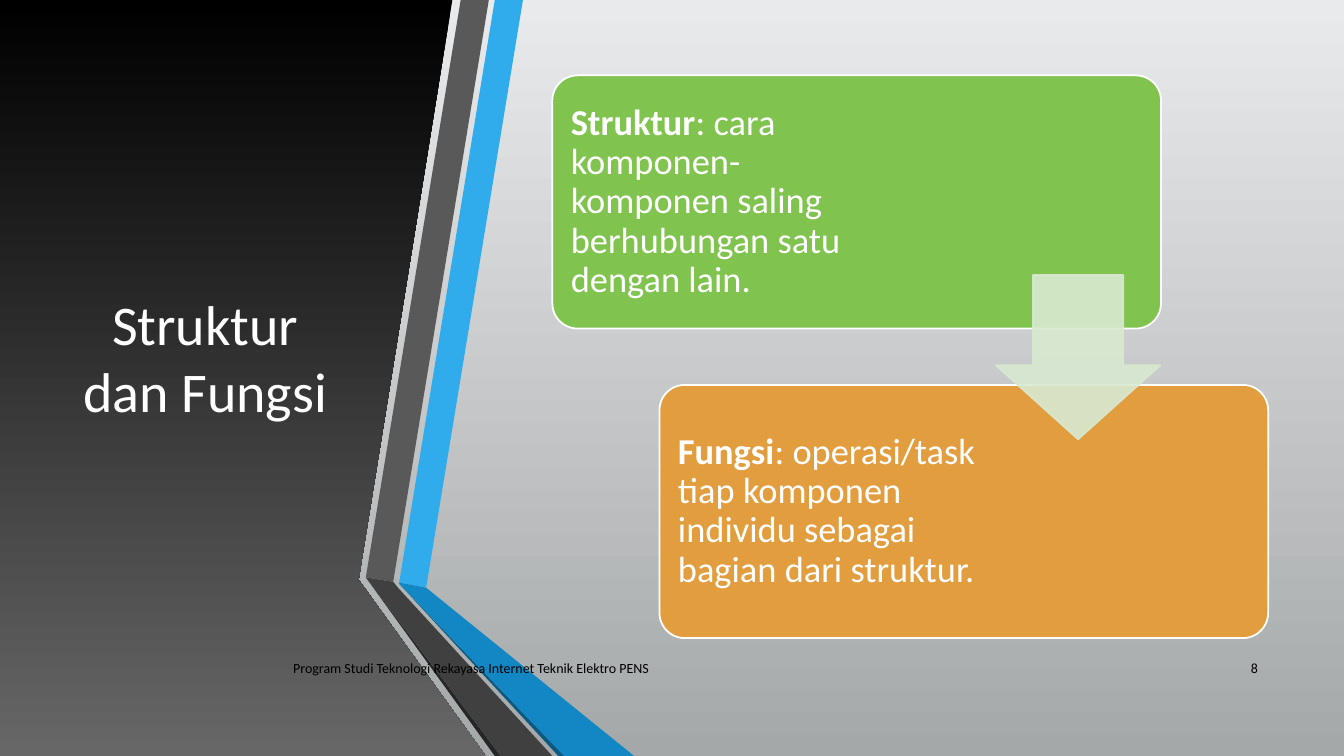
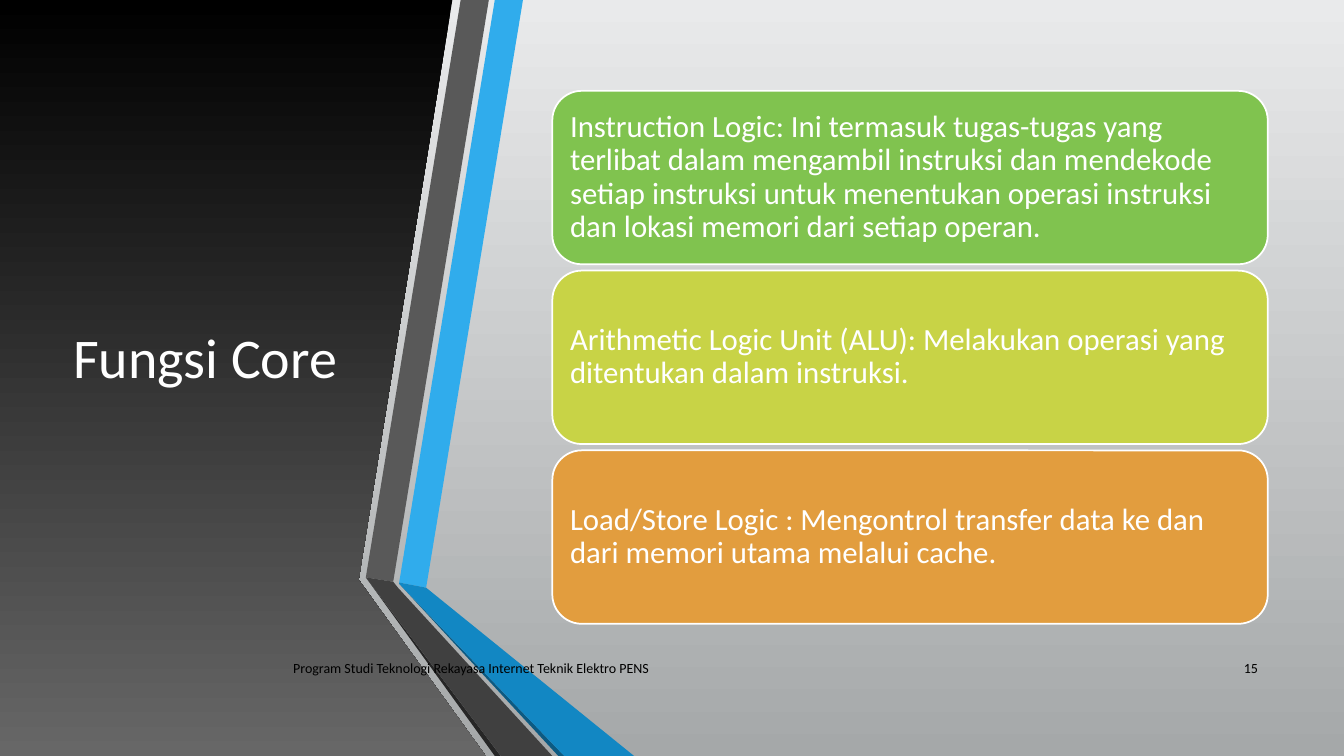
import pptx
import pptx.dml.color
import pptx.enum.shapes
import pptx.enum.text
import pptx.oxml
import pptx.oxml.ns
import pptx.util

Cm = pptx.util.Cm
Pt = pptx.util.Pt
SHAPE = pptx.enum.shapes.MSO_SHAPE
ALIGN = pptx.enum.text.PP_ALIGN
MIDDLE = pptx.enum.text.MSO_ANCHOR.MIDDLE

WIDTH, HEIGHT = 33.87, 19.05
FONT = "Calibri"
FOOTER = "Program Studi Teknologi Rekayasa Internet Teknik Elektro PENS"
COLORS = {
    "white": "FFFFFF",
    "black": "000000",
    "backdrop_top": "E9EAEB",
    "backdrop_bottom": "A5A8A9",
    "panel_bottom": "676767",
    "blue": "30ACEC",
    "deep_blue": "1287C3",
    "navy": "0C5A82",
    "gray": "595959",
    "charcoal": "404040",
    "dark": "262626",
    "green": "80C34F",
    "lime": "C8D346",
    "orange": "E29D3E",
    "pale_green": "D8E9D0",
}
PANEL = [(0, 0), (11.4, 0), (9.04, 14.61), (12.24, HEIGHT), (0, HEIGHT)]
RIBBONS = [
    ("blue", [(10.06, 14.68), (10.74, 14.81), (13.18, 0), (12.47, 0)]),
    ("gray", [(12.32, 0), (11.61, 0), (9.22, 14.55), (9.91, 14.66)]),
    ("dark", [(9.22, 14.55), (12.47, HEIGHT), (12.62, HEIGHT)]),
    ("navy", [(10.06, 14.71), (14.07, HEIGHT), (14.22, HEIGHT)]),
    ("deep_blue", [(10.06, 14.68), (10.06, 14.71), (14.22, HEIGHT),
                   (15.98, HEIGHT), (10.74, 14.81)]),
    ("charcoal", [(13.92, HEIGHT), (10.03, 14.81), (9.91, 14.66),
                  (9.22, 14.55), (12.62, HEIGHT)]),
]


def rgb(name):
    return pptx.dml.color.RGBColor.from_string(COLORS[name])


def fill_gradient(fill, top, bottom):
    fill.gradient()
    fill.gradient_angle = 270
    for stop, name in zip(fill.gradient_stops, (top, bottom)):
        stop.color.rgb = rgb(name)


def fill_solid(fill, name):
    fill.solid()
    fill.fore_color.rgb = rgb(name)


def format_para(para, size, color, align=ALIGN.LEFT):
    para.alignment = align
    para.font.name = FONT
    para.font.size = Pt(size)
    para.font.color.rgb = rgb(color)


def add_outline(page, points):
    corners = [(Cm(x), Cm(y)) for x, y in points]
    builder = page.shapes.build_freeform(*corners[0], scale=1.0)
    builder.add_line_segments(corners[1:], close=True)
    shape = builder.convert_to_shape()
    shape.shadow.inherit = False
    shape.line.fill.background()
    return shape


def add_preset(page, kind, place, color, line_color, adjustments):
    shape = page.shapes.add_shape(kind, *map(Cm, place))
    shape.shadow.inherit = False
    for index, value in enumerate(adjustments):
        shape.adjustments[index] = value
    fill_solid(shape.fill, color)
    fill_solid(shape.line.fill, line_color)
    shape.line.width = Pt(1.25)
    return shape


def add_card(page, place, color, spans, size, rounding, margin, right_margin):
    card = add_preset(page, SHAPE.ROUNDED_RECTANGLE, place, color, "white", [rounding])
    frame = card.text_frame
    frame.word_wrap = True
    frame.vertical_anchor = MIDDLE
    frame.margin_left = frame.margin_top = frame.margin_bottom = Cm(margin)
    frame.margin_right = Cm(right_margin)
    para = frame.paragraphs[0]
    format_para(para, size, "white")
    para.line_spacing = 0.9
    for text, bold in spans:
        span = para.add_run()
        span.text = text
        if bold:
            span.font.bold = True


def add_arrow(page, place, color):
    arrow = add_preset(page, SHAPE.DOWN_ARROW, place, color, color, [0.55, 0.45])
    for tint in arrow.element.spPr.iter(pptx.oxml.ns.qn("a:srgbClr")):
        alpha = tint.makeelement(pptx.oxml.ns.qn("a:alpha"), {"val": "90000"})
        tint.append(alpha)


def add_label(page, place, text, align):
    box = page.shapes.add_textbox(*map(Cm, place))
    frame = box.text_frame
    frame.word_wrap = True
    frame.vertical_anchor = MIDDLE
    frame.text = text
    format_para(frame.paragraphs[0], 10, "black", align)


def place_title(page, text):
    title = page.shapes.title
    title.left, title.top, title.width, title.height = map(Cm, (1.5, 1.9, 7.34, 14.17))
    frame = title.text_frame
    frame.text = text
    frame.word_wrap = True
    frame.auto_size = pptx.enum.text.MSO_AUTO_SIZE.NONE
    frame.vertical_anchor = MIDDLE
    format_para(frame.paragraphs[0], 40, "white", ALIGN.CENTER)
    title.element.getparent().append(title.element)


def add_page(deck, title, number):
    page = deck.slides.add_slide(deck.slide_layouts.get_by_name("Title Only"))
    fill_gradient(add_outline(page, PANEL).fill, "black", "panel_bottom")
    for color, points in RIBBONS:
        fill_solid(add_outline(page, points).fill, color)
    place_title(page, title)
    add_label(page, (7.14, 16.33, 19.68, 1.02), FOOTER, ALIGN.LEFT)
    add_label(page, (30.43, 16.31, 1.52, 1.02), str(number), ALIGN.RIGHT)
    return page


def build_structure_page(deck):
    page = add_page(deck, "Struktur dan Fungsi", 8)
    cards = [
        ("green", "Struktur", ": cara komponen-komponen saling berhubungan satu dengan lain.", 6.5),
        ("orange", "Fungsi", ": operasi/task tiap komponen individu sebagai bagian dari struktur.", 7.14),
    ]
    for index, (color, term, meaning, right_margin) in enumerate(cards):
        place = (13.92 + index * 2.7, 1.9 + index * 7.8, 15.34, 6.38)
        spans = [(term, True), (meaning, False)]
        add_card(page, place, color, spans, 26, 0.1, 0.28, right_margin)
    add_arrow(page, (25.1, 6.93, 4.14, 4.14), "pale_green")


def build_core_page(deck):
    page = add_page(deck, "Fungsi Core", 15)
    cards = [
        ("green", "Instruction Logic: Ini termasuk tugas-tugas yang terlibat dalam mengambil "
                  "instruksi dan mendekode setiap instruksi untuk menentukan operasi instruksi "
                  "dan lokasi memori dari setiap operan."),
        ("lime", "Arithmetic Logic Unit (ALU): Melakukan operasi yang ditentukan dalam instruksi."),
        ("orange", "Load/Store Logic : Mengontrol transfer data ke dan dari memori utama melalui cache."),
    ]
    for index, (color, text) in enumerate(cards):
        place = (13.92, 2.29 + index * 4.53, 18.03, 4.37)
        add_card(page, place, color, [(text, False)], 22, 0.17, 0.23, 0.23)


def main():
    deck = pptx.Presentation()
    deck.slide_width, deck.slide_height = Cm(WIDTH), Cm(HEIGHT)
    fill_gradient(deck.slide_master.background.fill, "backdrop_top", "backdrop_bottom")
    build_structure_page(deck)
    build_core_page(deck)
    deck.save("out.pptx")


if __name__ == "__main__":
    main()
